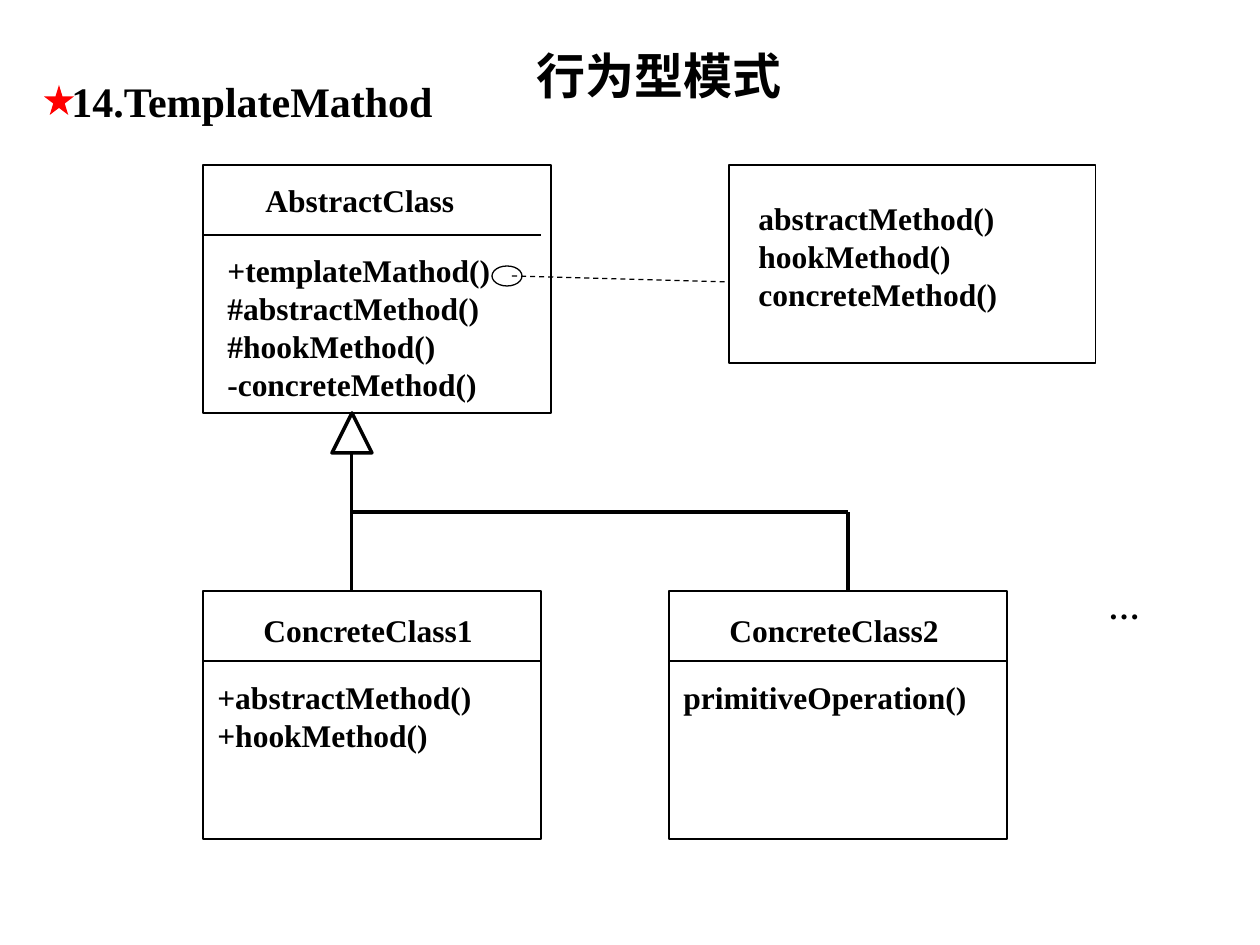
from lxml.etree import SubElement
from pptx import Presentation
from pptx.dml.color import RGBColor
from pptx.enum.dml import MSO_LINE
from pptx.enum.shapes import MSO_CONNECTOR, MSO_SHAPE as SHAPE
from pptx.enum.text import MSO_ANCHOR as ANCHOR, PP_ALIGN as ALIGN
from pptx.oxml.ns import qn
from pptx.util import Pt

PX = 914400 // 126
BLACK, RED = "000000", "FF0000"
SERIF, SANS = "Times New Roman", "Arial"
THIN, THICK, HEAVY = 0.75, 1.75, 2
PAD = 13


def px(*lengths):
    return [length * PX for length in lengths]


def color(hex_code):
    return RGBColor.from_string(hex_code)


def style_line(line, weight, dash=None):
    line.color.rgb = color(BLACK)
    line.width = Pt(weight)
    if dash:
        line.dash_style = dash


def add_outline(slide, kind, box, weight=THIN):
    shape = slide.shapes.add_shape(kind, *px(*box))
    shape.shadow.inherit = False
    shape.fill.background()
    style_line(shape.line, weight)


def add_line(slide, start, end, weight=THIN, dash=None):
    line = slide.shapes.add_connector(MSO_CONNECTOR.STRAIGHT, *px(*start, *end))
    style_line(line.line, weight, dash)
    SubElement(line._element.spPr, qn("a:effectLst"))


def format_font(paragraph, size, name):
    for key, value in {"size": Pt(size), "name": name, "bold": True}.items():
        setattr(paragraph.font, key, value)
    paragraph.font.color.rgb = color(BLACK)


def add_text(slide, x, y, w, lines, size=18):
    """Stack the lines in a box whose height follows from the line pitch."""
    pitch = size * 1.2
    h = round(len(lines) * pitch * 126 / 72) + PAD
    frame = slide.shapes.add_textbox(*px(x, y, w, h)).text_frame
    frame.word_wrap = True
    frame.text = "\n".join(lines)
    for paragraph in frame.paragraphs:
        paragraph.line_spacing = Pt(pitch)
        format_font(paragraph, size, SERIF)


def add_heading(slide, x, y):
    title = slide.shapes.title
    title.left, title.top, title.width, title.height = px(x + 480, y, 270, 72)
    frame = title.text_frame
    frame.text = "行为型模式"
    frame.word_wrap = False
    frame.vertical_anchor = ANCHOR.MIDDLE
    frame.paragraphs[0].alignment = ALIGN.LEFT
    format_font(frame.paragraphs[0], 28, SANS)

    star = slide.shapes.add_shape(SHAPE.STAR_5_POINT, *px(x, y + 46, 30, 30))
    star.shadow.inherit = False
    star.fill.solid()
    star.fill.fore_color.rgb = color(RED)
    star.line.fill.background()
    add_text(slide, x + 15, y + 30, 400, ["14.TemplateMathod"], size=24)


def add_class(slide, box, rule_width, name, name_box, methods, methods_box):
    """name_box and methods_box are (x, y, width) inside the class box."""
    x, y, _, _ = box
    add_outline(slide, SHAPE.RECTANGLE, box)
    add_line(slide, (x, y + 70), (x + rule_width, y + 70))
    for lines, (dx, dy, width) in (([name], name_box), (methods, methods_box)):
        add_text(slide, x + dx, y + dy, width, lines)


def add_note(slide, x, y):
    add_outline(slide, SHAPE.RECTANGLE, (x, y, 367, 198))
    calls = ["abstractMethod()", "hookMethod()", "concreteMethod()"]
    add_text(slide, x + 17, y + 28, 272, calls)
    add_outline(slide, SHAPE.OVAL, (x - 237, y + 101, 30, 20))
    add_line(slide, (x - 217, y + 111), (x, y + 117), dash=MSO_LINE.DASH)


def add_inheritance(slide, x, top, bottom, branch_x):
    head, bus = 40, top + 99
    add_outline(slide, SHAPE.ISOSCELES_TRIANGLE,
                (x - head // 2, top, head, head), HEAVY)
    for start, end in (
        ((x, top + head), (x, bottom)),
        ((x, bus), (branch_x, bus)),
        ((branch_x, bus), (branch_x, bottom)),
    ):
        add_line(slide, start, end, THICK)


def main():
    deck = Presentation()
    deck.slide_width, deck.slide_height = px(1260, 945)
    slide = deck.slides.add_slide(deck.slide_layouts[5])

    add_heading(slide, 44, 39)
    left, top, concrete_top, height = 203, 165, 591, 248
    add_class(slide, (left, top, 348, height), 338,
              "AbstractClass", (50, 10, 222),
              ["+templateMathod()", "#abstractMethod()",
               "#hookMethod()", "-concreteMethod()"], (12, 80, 300))
    add_note(slide, 729, top)

    concrete_classes = (
        ("ConcreteClass1", ["+abstractMethod()", "+hookMethod()"]),
        ("ConcreteClass2", ["primitiveOperation()"]),
    )
    for i, (name, methods) in enumerate(concrete_classes):
        add_class(slide, (left + 466 * i, concrete_top, 338, height), 338,
                  name, (48, 14, 246), methods, (2, 81, 318))
    add_inheritance(slide, 352, top + height, concrete_top, 848)
    add_text(slide, 1096, 582, 62, ["…"])

    deck.save("out.pptx")


if __name__ == "__main__":
    main()
